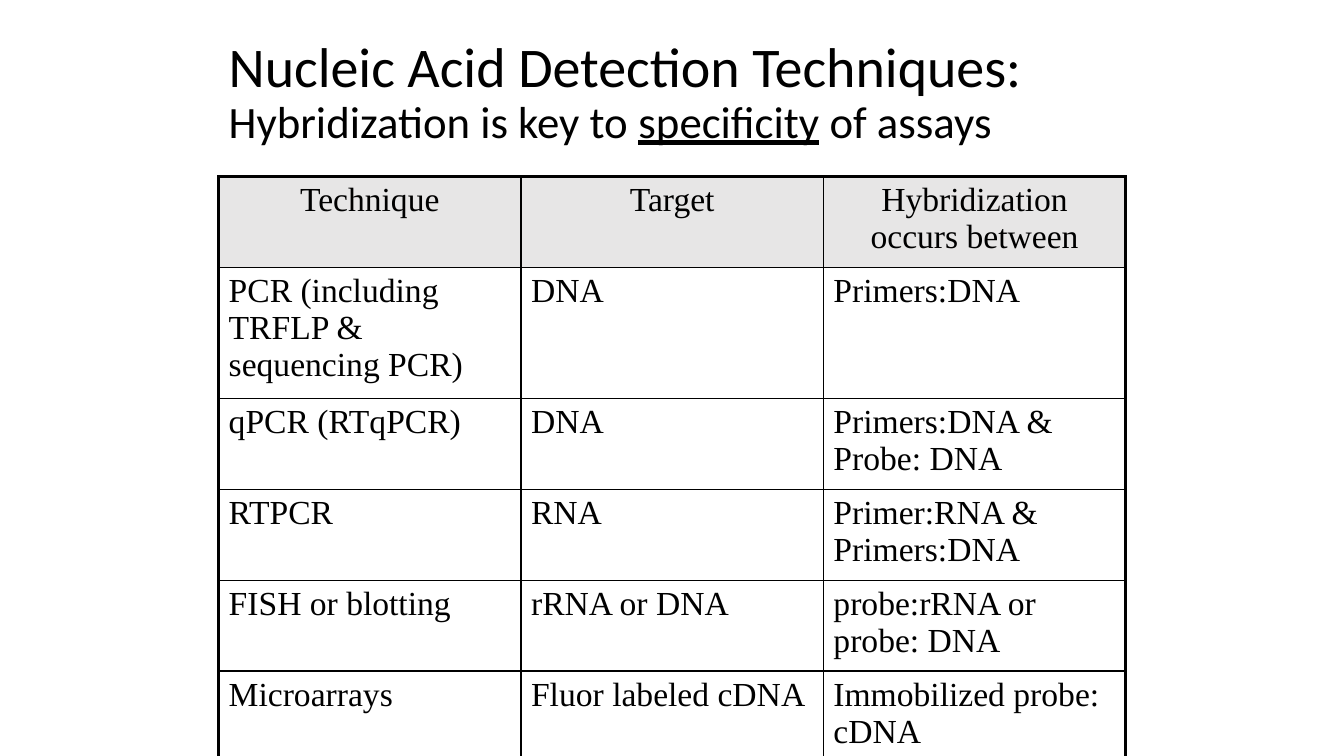
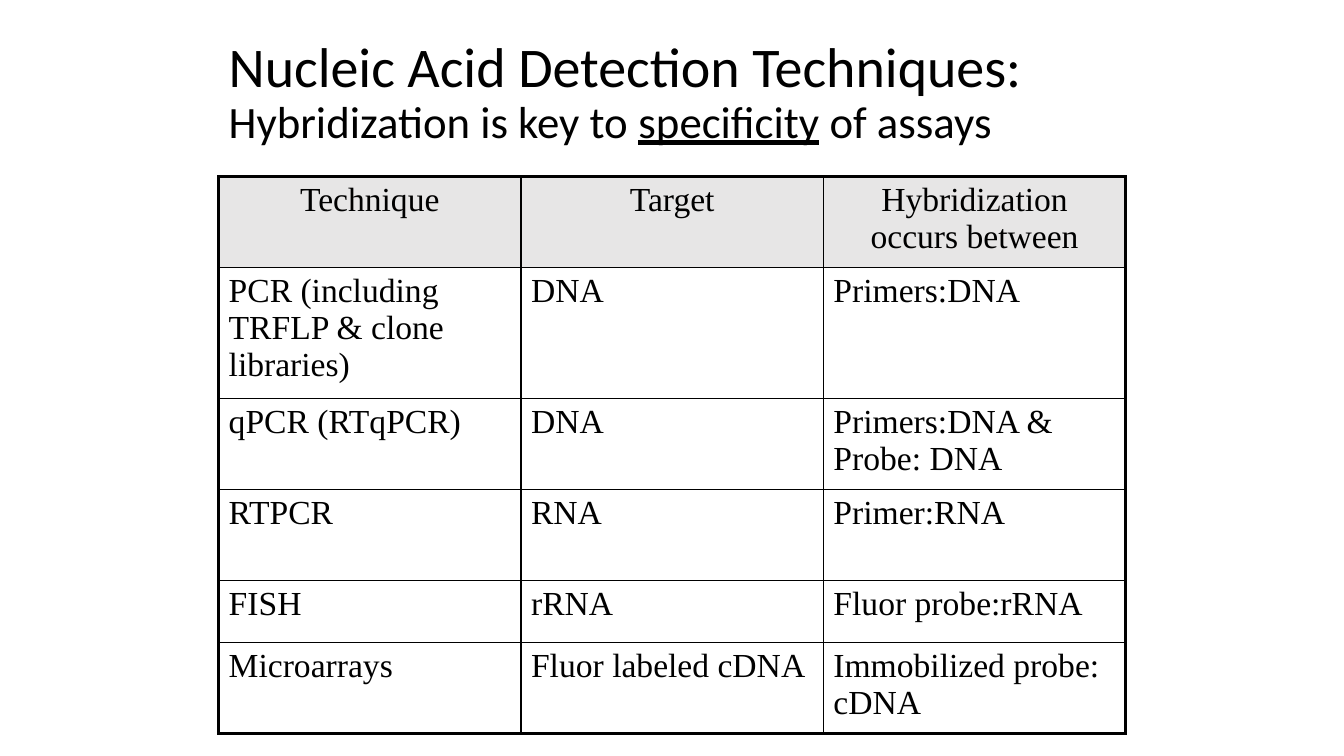
from lxml.etree import SubElement
from pptx import Presentation
from pptx.dml.color import RGBColor
from pptx.enum.text import MSO_ANCHOR, MSO_AUTO_SIZE, PP_ALIGN
from pptx.oxml.ns import qn
from pptx.util import Cm, Pt

# Content
TITLE_RUNS = [
    ("Nucleic Acid Detection Techniques: ", 40, False),
    ("Hybridization is key to ", 32, False),
    ("specificity", 32, True),
    (" of assays", 32, False),
]
HEADER = ("Technique", "Target", "Hybridization occurs between")
QPCR = ("qPCR (RTqPCR)", "DNA", "Primers:DNA & Probe: DNA")
MICROARRAYS = ("Microarrays", "Fluor labeled cDNA", "Immobilized probe: cDNA")
SLIDES = [
    {
        "rows": [
            HEADER,
            ("PCR (including TRFLP & sequencing PCR)", "DNA", "Primers:DNA"),
            QPCR,
            ("RTPCR", "RNA", "Primer:RNA & Primers:DNA"),
            ("FISH or blotting", "rRNA or DNA", "probe:rRNA or probe: DNA"),
            MICROARRAYS,
        ],
        "heights": (2.29, 3.3, 2.29, 2.29, 2.29, 2.29),
    },
    {
        "rows": [
            HEADER,
            ("PCR (including TRFLP & clone libraries)", "DNA", "Primers:DNA"),
            QPCR,
            ("RTPCR", "RNA", "Primer:RNA"),
            ("FISH", "rRNA", "Fluor probe:rRNA"),
            MICROARRAYS,
        ],
        "heights": (2.29, 3.3, 2.29, 2.29, 1.57, 2.29),
    },
]

# Shared style
COLORS = {"text": "000000", "header": "E7E6E6", "border": "000000"}
TITLE_FONT, TABLE_FONT = "Calibri", "Times New Roman"
LEFT, TABLE_TOP, COL_WIDTH = 5.51, 4.45, 7.62
OUTER, INNER = 2.25, 1


def style_font(font, name, size):
    font.name = name
    font.size = Pt(size)
    font.bold = False
    font.color.rgb = RGBColor.from_string(COLORS["text"])


def style_layout(layout):
    """Place the title once for every slide."""
    sp = layout.placeholders[0]
    sp.left, sp.top, sp.width, sp.height = Cm(LEFT), Cm(0.76), Cm(23.55), Cm(3.18)


def add_title(s):
    tf = s.shapes.title.text_frame
    tf.auto_size = MSO_AUTO_SIZE.NONE
    tf.vertical_anchor = MSO_ANCHOR.MIDDLE
    p = tf.paragraphs[0]
    p.alignment = PP_ALIGN.LEFT
    p.line_spacing = 0.9
    for text, size, underlined in TITLE_RUNS:
        r = p.add_run()
        r.text = text
        style_font(r.font, TITLE_FONT, size)
        r.font.underline = underlined


def set_borders(cell, outer_sides):
    tc_pr = cell._tc.get_or_add_tcPr()
    for side in "LRTB":
        width = OUTER if side in outer_sides else INNER
        ln = SubElement(tc_pr, qn(f"a:ln{side}"), w=str(Pt(width)))
        fill = SubElement(ln, qn("a:solidFill"))
        SubElement(fill, qn("a:srgbClr"), val=COLORS["border"])


def add_table(s, rows, heights):
    n_rows, n_cols = len(rows), len(HEADER)
    table = s.shapes.add_table(n_rows, n_cols, Cm(LEFT), Cm(TABLE_TOP),
                               Cm(COL_WIDTH * n_cols), Cm(sum(heights))).table
    table.horz_banding = False
    for col in table.columns:
        col.width = Cm(COL_WIDTH)
    for i, (row, height) in enumerate(zip(rows, heights)):
        table.rows[i].height = Cm(height)
        for j, text in enumerate(row):
            cell = table.cell(i, j)
            edges = {"L": j == 0, "R": j == n_cols - 1,
                     "T": i == 0, "B": i == n_rows - 1}
            set_borders(cell, [side for side, outer in edges.items() if outer])
            if i == 0:
                cell.fill.solid()
                cell.fill.fore_color.rgb = RGBColor.from_string(COLORS["header"])
            else:
                cell.fill.background()
            cell.text_frame.text = text
            p = cell.text_frame.paragraphs[0]
            p.alignment = PP_ALIGN.CENTER if i == 0 else PP_ALIGN.LEFT
            style_font(p.runs[0].font, TABLE_FONT, 24)


def main():
    prs = Presentation()
    prs.slide_width, prs.slide_height = Cm(33.87), Cm(19.05)
    layout = prs.slide_layouts.get_by_name("Title Only")
    style_layout(layout)
    for content in SLIDES:
        s = prs.slides.add_slide(layout)
        add_title(s)
        add_table(s, content["rows"], content["heights"])
    prs.save("out.pptx")


if __name__ == "__main__":
    main()
